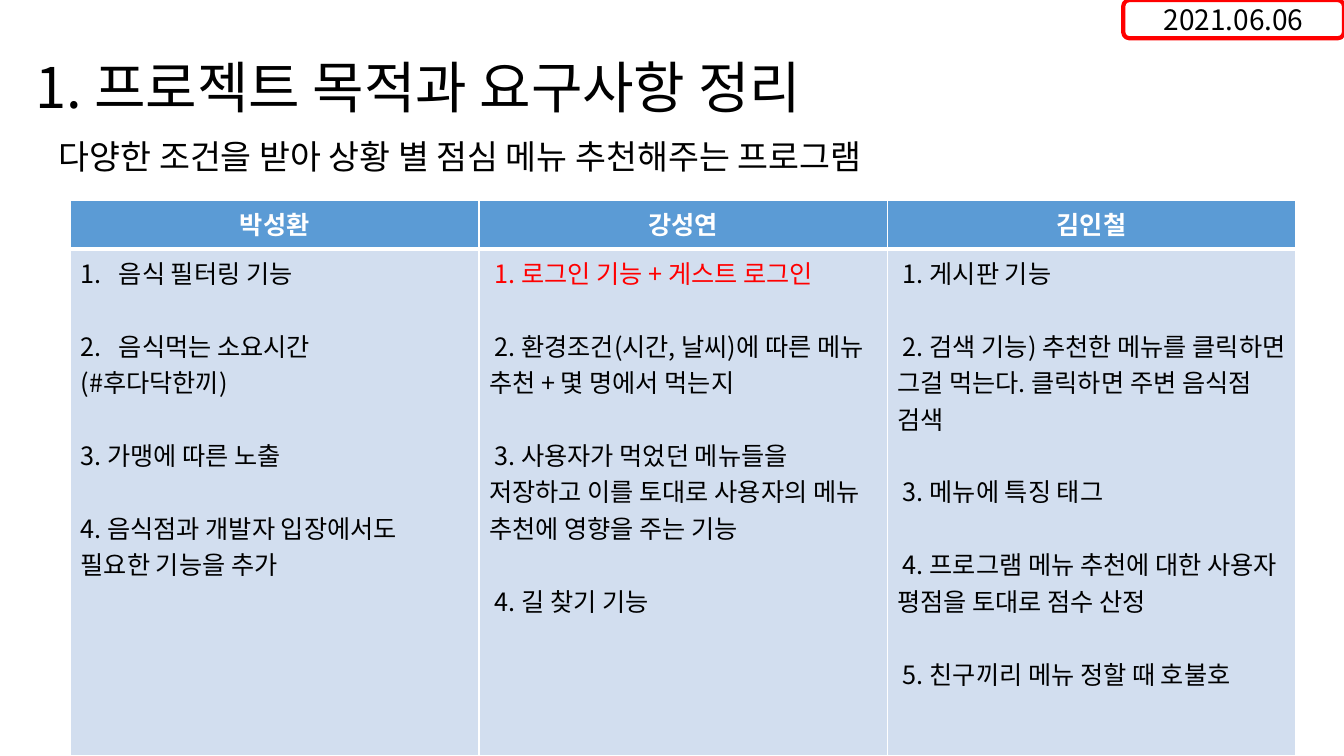
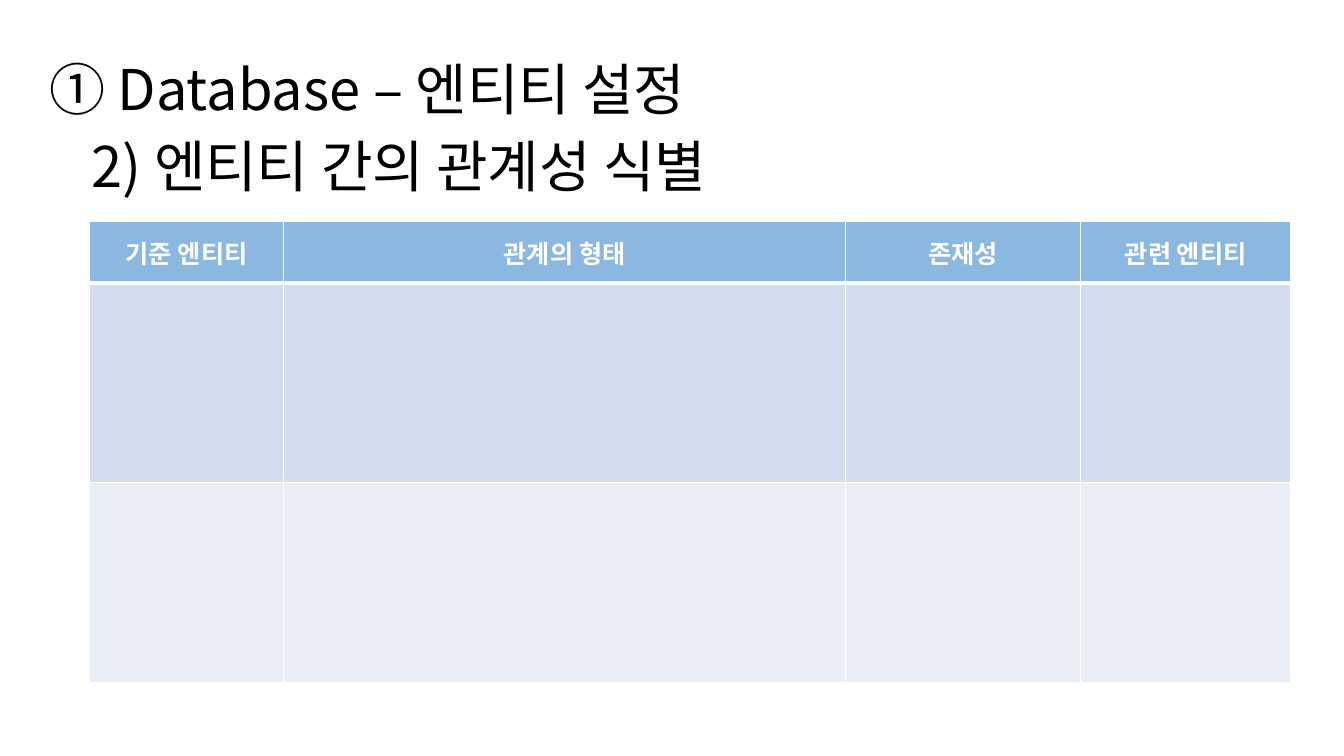
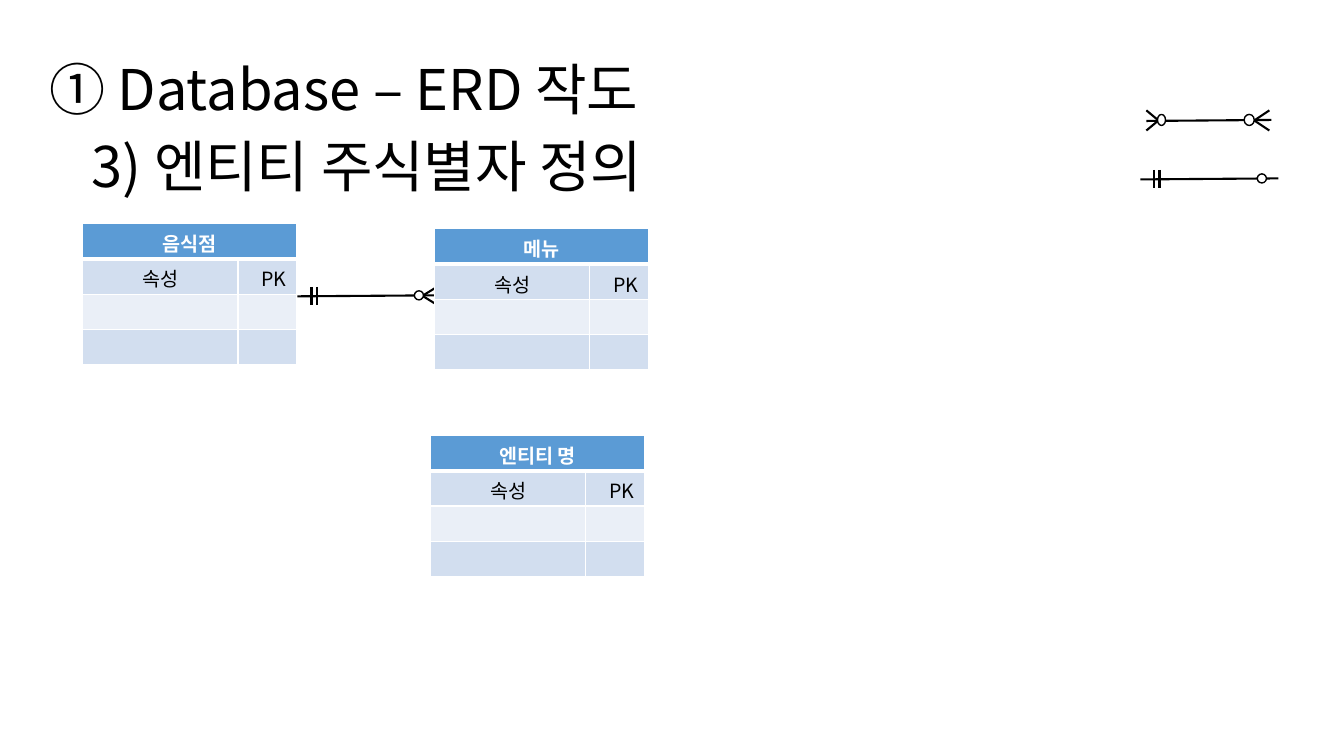
import pptx
import pptx.util
import pptx.dml.color
import pptx.enum.shapes
import pptx.enum.text
from lxml import etree
from pptx.oxml.ns import qn
from pptx.util import Inches, Pt

ALIGN = pptx.enum.text.PP_ALIGN
ANCHOR = pptx.enum.text.MSO_ANCHOR
SHAPE = pptx.enum.shapes.MSO_SHAPE
FONT = "Noto Sans CJK KR"
BLACK, WHITE, RED = "000000", "FFFFFF", "FF0000"
HEADER, BANDS = "5B9BD5", ("D2DEEF", "EAEFF7")

# Content: goals slide; each feature is a list of lines
GOALS_TITLE = "1. 프로젝트 목적과 요구사항 정리"
GOALS_SUBTITLE = " 다양한 조건을 받아 상황 별 점심 메뉴 추천해주는 프로그램"
DATE = "2021.06.06"
MEMBERS = ["박성환", "강성연", "김인철"]
FEATURES = [
    [["음식 필터링 기능"],
     ["음식먹는 소요시간", "(#후다닥한끼)"],
     ["3. 가맹에 따른 노출"],
     ["4. 음식점과 개발자 입장에서도 필요한 기능을 추가"]],
    [[" 1. 로그인 기능 + 게스트 로그인"],
     [" 2. 환경조건(시간, 날씨)에 따른 메뉴 추천 + 몇 명에서 먹는지"],
     [" 3. 사용자가 먹었던 메뉴들을 저장하고 이를 토대로 사용자의 메뉴 추천에 영향을 주는 기능"],
     [" 4. 길 찾기 기능"]],
    [[" 1. 게시판 기능"],
     [" 2. 검색 기능) 추천한 메뉴를 클릭하면 그걸 먹는다. 클릭하면 주변 음식점 검색"],
     [" 3. 메뉴에 특징 태그"],
     [" 4. 프로그램 메뉴 추천에 대한 사용자 평점을 토대로 점수 산정"],
     [" 5. 친구끼리 메뉴 정할 때 호불호"]],
]
AUTO_NUMBERED = FEATURES[0][:2]
HIGHLIGHTED = FEATURES[1][0]

# Content: database slides
RELATION_TITLES = ("① Database – 엔티티 설정", "2) 엔티티 간의 관계성 식별")
RELATION_HEADS = ["기준 엔티티", "관계의 형태", "존재성", "관련 엔티티"]
ERD_TITLES = ("① Database – ERD 작도", "3) 엔티티 주식별자 정의")
ENTITIES = [("음식점", 0.82, 2.22), ("메뉴", 4.31, 2.27), ("엔티티 명", 4.27, 4.32)]

# Relation lines: left, right, y, end marks
# bars: first x; crow: tip x, apex x, half height; circle: centre x, width, height
RELATIONS = [
    (2.95, 4.32, 2.94, [("bars", 3.09), ("crow", 4.32, 4.19, 0.08),
                        ("circle", 4.155, 0.09, 0.09)]),
    (11.37, 12.61, 1.2, [("crow", 12.59, 12.44, 0.1), ("circle", 12.39, 0.1, 0.11),
                         ("crow", 11.37, 11.49, 0.1), ("circle", 11.52, 0.08, 0.11)]),
    (11.31, 12.68, 1.78, [("bars", 11.445), ("circle", 12.515, 0.09, 0.09)]),
]


def rgb(value):
    return pptx.dml.color.RGBColor.from_string(value)


def style(p, size, color=BLACK, bold=False, align=None):
    """Format a paragraph; an empty one keeps its size for the row height."""
    p.alignment = align
    for r in p.runs:
        r.font.size, r.font.bold, r.font.name = Pt(size), bold, FONT
        r.font.color.rgb = rgb(color)
        etree.SubElement(r.font._element, qn("a:ea"), typeface=FONT)
    if not p.runs:
        etree.SubElement(p._p, qn("a:endParaRPr"), sz=str(size * 100))


def title(s, x, y, text, size=40, h=0.71):
    tf = s.shapes.add_textbox(Inches(x), Inches(y), Inches(9.55), Inches(h)).text_frame
    tf.word_wrap, tf.vertical_anchor = True, ANCHOR.BOTTOM
    tf.text = text
    tf.paragraphs[0].line_spacing = 0.9
    style(tf.paragraphs[0], size)


def database_slide(titles):
    s = prs.slides.add_slide(prs.slide_layouts[6])
    title(s, 0.39, 0.56, titles[0])
    title(s, 0.81, 1.32, titles[1])
    return s


def borders(cell, top, bottom):
    tc_pr = cell._tc.get_or_add_tcPr()
    for i, (side, width) in enumerate([("L", 1), ("R", 1), ("T", top), ("B", bottom)]):
        ln = etree.Element(qn("a:ln" + side), w=str(Pt(width)))
        fill = etree.SubElement(ln, qn("a:solidFill"))
        etree.SubElement(fill, qn("a:srgbClr"), val=WHITE)
        tc_pr.insert(i, ln)


def table(s, x, y, cols, rows, texts, size, anchor=ANCHOR.TOP, alpha=None,
          body_align=None):
    """Banded table; texts holds the leading rows, the rest stay empty."""
    t = s.shapes.add_table(len(rows), len(cols), Inches(x), Inches(y),
                           Inches(sum(cols)), Inches(sum(rows))).table
    t.first_row = t.horz_banding = False
    for col, w in zip(t.columns, cols):
        col.width = Inches(w)
    for i, h in enumerate(rows):
        t.rows[i].height = Inches(h)
        for j in range(len(cols)):
            cell = t.cell(i, j)
            cell.fill.solid()
            cell.fill.fore_color.rgb = rgb(BANDS[(i - 1) % 2] if i else HEADER)
            if i == 0 and alpha:
                color = cell._tc.tcPr.find(".//" + qn("a:srgbClr"))
                etree.SubElement(color, qn("a:alpha"), val=str(alpha * 1000))
            borders(cell, 3 if i == 1 else 1, 1 if i else 3)
            if i == 0:
                cell.vertical_anchor = anchor
            if i < len(texts) and j < len(texts[i]):
                cell.text_frame.text = texts[i][j]
            align = (body_align[j] if body_align else None) if i else ALIGN.CENTER
            style(cell.text_frame.paragraphs[0], size, BLACK if i else WHITE,
                  i == 0, align)
    return t


def feature_list(tf, features):
    lines = [(line, k, f) for f in features for k, line in enumerate(f)]
    tf.text = "\n".join(line for line, k, f in lines)
    for n, (p, (line, k, f)) in enumerate(zip(tf.paragraphs, lines)):
        style(p, 18, RED if f is HIGHLIGHTED else BLACK)
        if n and k == 0:
            p.space_before = Pt(26)
        if k == 0 and f in AUTO_NUMBERED:
            p_pr = p._p.get_or_add_pPr()
            p_pr.set("marL", str(Inches(0.38)))
            p_pr.set("indent", str(-Inches(0.38)))
            etree.SubElement(p_pr, qn("a:buFont"), typeface=FONT)
            etree.SubElement(p_pr, qn("a:buAutoNum"), type="arabicPeriod")


def line(g, x1, y1, x2, y2):
    c = g.shapes.add_connector(pptx.enum.shapes.MSO_CONNECTOR.STRAIGHT, Inches(x1),
                               Inches(y1), Inches(x2), Inches(y2))
    c.line.width = Pt(1.5)
    c.line.color.rgb = rgb(BLACK)
    etree.SubElement(c._element.spPr, qn("a:effectLst"))


def circle(g, x, y, w, h):
    sp = g.shapes.add_shape(SHAPE.OVAL, Inches(x - w / 2), Inches(y - h / 2),
                            Inches(w), Inches(h))
    sp.shadow.inherit = False
    sp.fill.solid()
    sp.fill.fore_color.rgb = rgb(WHITE)
    sp.line.color.rgb = rgb(BLACK)
    sp.line.width = Pt(1)


def relation(s, left, right, y, marks):
    g = s.shapes.add_group_shape()
    line(g, left, y, right, y - 0.01)
    for kind, x, *size in marks:
        if kind == "bars":
            for bar in (x, x + 0.055):
                line(g, bar, y - 0.095, bar, y + 0.09)
        elif kind == "crow":
            apex, half = size
            for dy in (-half, half):
                line(g, apex, y - 0.005, x, y - 0.005 + dy)
        else:
            circle(g, x, y - 0.01, *size)


prs = pptx.Presentation()
prs.slide_width, prs.slide_height = Inches(13.33), Inches(7.5)

# Goals and requirements
s = prs.slides.add_slide(prs.slide_layouts[6])
title(s, 0.25, 0.54, GOALS_TITLE)
t = table(s, 0.7, 1.99, [4.05] * 3, [0.48, 5.03], [MEMBERS], 18)
for j, features in enumerate(FEATURES):
    feature_list(t.cell(1, j).text_frame, features)
title(s, 0.41, 1.22, GOALS_SUBTITLE, 24, 0.58)
sp = s.shapes.add_shape(SHAPE.ROUNDED_RECTANGLE, Inches(11.14), 0, Inches(2.19),
                        Inches(0.38))
sp.shadow.inherit = False
sp.fill.background()
sp.line.color.rgb = rgb(RED)
sp.line.width = Pt(3)
sp.text_frame.text = DATE
sp.text_frame.vertical_anchor = ANCHOR.MIDDLE
style(sp.text_frame.paragraphs[0], 20, align=ALIGN.CENTER)

# Entity relations
s = database_slide(RELATION_TITLES)
table(s, 0.89, 2.2, [1.92, 5.58, 2.33, 2.08], [0.61, 1.98, 1.98], [RELATION_HEADS],
      18, ANCHOR.MIDDLE, alpha=71)

# Entity diagram
s = database_slide(ERD_TITLES)
for k, (name, x, y) in enumerate(ENTITIES):
    t = table(s, x, y, [1.54, 0.58], [0.35] * 4, [[name], ["속성", "PK"]], 14,
              body_align=(ALIGN.CENTER, ALIGN.RIGHT))
    t.cell(0, 0).merge(t.cell(0, 1))
    if k == 0:
        for r in RELATIONS:
            relation(s, *r)

prs.save("out.pptx")
